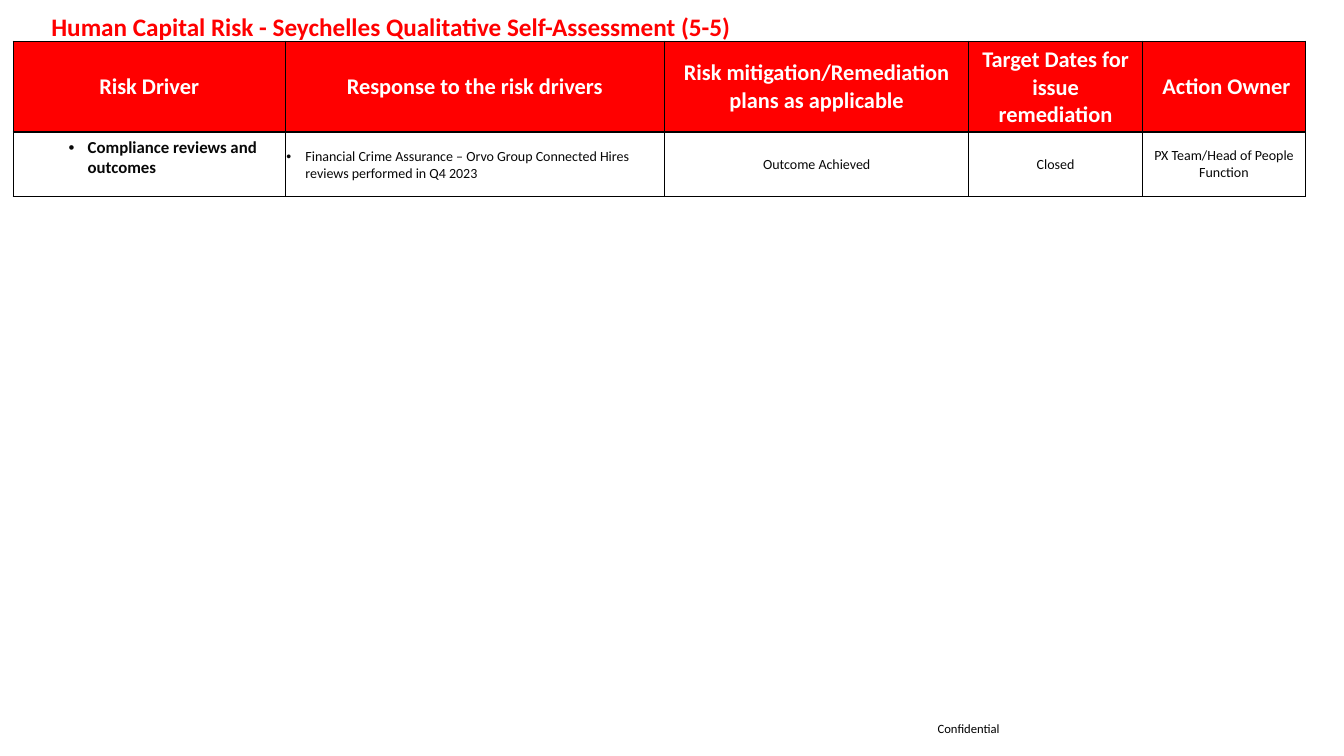
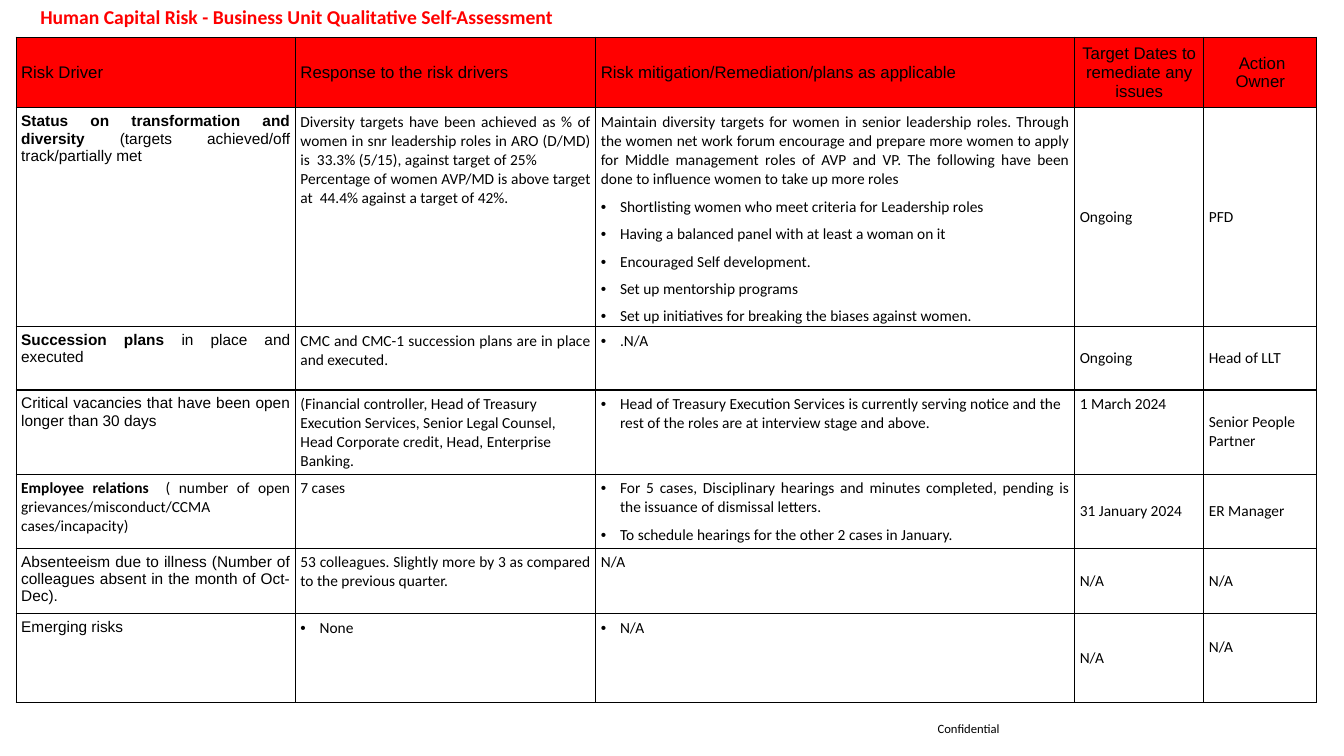
from dataclasses import dataclass

from lxml import etree
from pptx import Presentation
from pptx.dml.color import RGBColor
from pptx.enum.text import MSO_ANCHOR, PP_ALIGN
from pptx.oxml.ns import qn
from pptx.util import Inches, Pt

TOP, MIDDLE = MSO_ANCHOR.TOP, MSO_ANCHOR.MIDDLE
LEFT, CENTER, JUSTIFY = PP_ALIGN.LEFT, PP_ALIGN.CENTER, PP_ALIGN.JUSTIFY
SIDES = ("left", "top", "right", "bottom")


@dataclass(frozen=True)
class Theme:
    red: str = "FF0000"
    white: str = "FFFFFF"
    black: str = "000000"
    ink: str = "080808"
    sans: str = "Calibri"
    plain: str = "Arial"
    huge: int = 18
    large: int = 16
    mid: int = 14
    head: int = 12
    body: int = 11
    small: int = 10
    foot: int = 9
    pad: float = 0.05
    hang: float = 0.19
    rule: int = 1


THEME = Theme()
BASE = {
    "name": THEME.sans, "size": Pt(THEME.body), "bold": False,
    "color": THEME.ink, "alignment": LEFT, "vertical_anchor": MIDDLE,
    "indent": THEME.hang,
}
FONT = ("name", "size", "bold")
PARA = ("alignment", "space_before", "space_after")
CELL = ("vertical_anchor",) + tuple(f"margin_{side}" for side in SIDES)
GAP = {"space_before": Pt(3), "space_after": Pt(3)}


def apply(target, names, look):
    for name in names:
        if name in look:
            setattr(target, name, look[name])


def margins(*sizes):
    return {f"margin_{side}": Inches(size) for side, size in zip(SIDES, sizes)}


class Deck:
    def __init__(self, theme):
        self.theme = theme
        self.file = Presentation()
        self.file.slide_width = Inches(13.33)
        self.file.slide_height = Inches(7.5)
        self.slide = None

    def page(self, title, left, top, height, size):
        self.slide = self.file.slides.add_slide(self.file.slide_layouts[6])
        self.text(title, (left, top, 12.44, height),
                  size=Pt(size), bold=True, color=self.theme.red)
        self.text("Confidential", (9.3, 7.15, 3.9, 0.15),
                  size=Pt(self.theme.foot), color=self.theme.black,
                  vertical_anchor=TOP)

    def text(self, words, area, **look):
        look = {**BASE, **margins(0, 0, 0, 0), **look}
        frame = self.slide.shapes.add_textbox(*map(Inches, area)).text_frame
        frame.word_wrap = True
        apply(frame, CELL, look)
        self.fill(frame, words, look)

    def fill(self, frame, words, look):
        for index, line in enumerate(words if isinstance(words, list) else [words]):
            para = frame.add_paragraph() if index else frame.paragraphs[0]
            apply(para, PARA, look)
            lead, rest = line if isinstance(line, tuple) else ("", line)
            if rest.startswith("• "):
                rest = rest[2:]
                self.bullet(para, look["indent"])
            for part, bold in ((lead, True), (rest, look["bold"])):
                if part:
                    run = para.add_run()
                    run.text = part
                    apply(run.font, FONT, {**look, "bold": bold})
                    run.font.color.rgb = RGBColor.from_string(look["color"])

    def bullet(self, para, indent):
        props = para._p.get_or_add_pPr()
        props.set("marL", str(Inches(indent)))
        props.set("indent", str(-Inches(self.theme.hang)))
        etree.SubElement(props, qn("a:buFont"), typeface=self.theme.plain)
        etree.SubElement(props, qn("a:buChar"), char="•")

    def border(self, cell):
        props = cell._tc.get_or_add_tcPr()
        for index, tag in enumerate(("a:lnL", "a:lnR", "a:lnT", "a:lnB")):
            line = etree.Element(qn(tag), w=str(Pt(self.theme.rule)))
            paint = etree.SubElement(line, qn("a:solidFill"))
            etree.SubElement(paint, qn("a:srgbClr"), val=self.theme.black)
            props.insert(index, line)

    def table(self, left, top, widths, heights, rows, heads, looks, extra):
        table = self.slide.shapes.add_table(
            len(rows), len(widths), Inches(left), Inches(top),
            Inches(sum(widths)), Inches(sum(heights))).table
        table.first_row = table.horz_banding = False
        for column, width in zip(table.columns, widths):
            column.width = Inches(width)
        for row, height in zip(table.rows, heights):
            row.height = Inches(height)
        for r, row in enumerate(rows):
            for c, words in enumerate(row):
                cell = table.cell(r, c)
                look = {**BASE, **margins(*[self.theme.pad] * 4),
                        **(looks[c] if r else heads[c]), **extra.get((r, c), {})}
                if r:
                    cell.fill.background()
                else:
                    cell.fill.solid()
                    cell.fill.fore_color.rgb = RGBColor.from_string(self.theme.red)
                apply(cell, CELL, look)
                self.fill(cell.text_frame, words, look)
                self.border(cell)


def local(deck):
    theme = deck.theme
    deck.page("Human Capital Risk - Seychelles Qualitative Self-Assessment (5-5)",
              0.51, 0.11, 0.3, theme.huge)
    rows = [
        ["Risk Driver", "Response to the risk drivers",
         "Risk mitigation/Remediation plans as applicable",
         "Target Dates for issue remediation", " Action Owner"],
        ["• Compliance reviews and outcomes",
         "• Financial Crime Assurance – Orvo Group Connected Hires reviews performed in Q4 2023",
         "Outcome Achieved", "Closed", "PX Team/Head of People Function"],
    ]
    head = {"size": Pt(theme.large), "bold": True, "color": theme.white,
            "alignment": CENTER}
    small = {"size": Pt(theme.small)}
    mid = {**small, "alignment": CENTER}
    looks = [
        {"size": Pt(theme.head), "bold": True, "vertical_anchor": TOP, "indent": 0.69},
        {**small, **margins(0.01, 0.01, 0.01, 0)},
        mid, {**mid, **GAP}, {**mid, **GAP},
    ]
    deck.table(0.13, 0.41, [2.7, 3.76, 3.02, 1.72, 1.62], [0.9, 0.64], rows,
               [head] * 3 + [{**head, **GAP}] * 2, looks, {})


def unit(deck):
    theme = deck.theme
    deck.page("Human Capital Risk - Business Unit Qualitative Self-Assessment",
              0.4, 0.05, 0.24, theme.mid)
    rows = [
        ["Risk Driver", "Response to the risk drivers",
         "Risk mitigation/Remediation/plans as applicable",
         "Target Dates to remediate any issues", " Action Owner"],
        [("Status on transformation and diversity ",
          "(targets achieved/off track/partially met"),
         ["Diversity targets have been achieved as % of women in snr leadership roles "
          "in ARO (D/MD) is  33.3% (5/15), against target of 25%",
          "Percentage of women AVP/MD is above target at  44.4% against a target of 42%."],
         ["Maintain diversity targets for women in senior leadership roles. Through the "
          "women net work forum encourage and prepare more women to apply for Middle "
          "management roles of AVP and VP. The following have been done to influence "
          "women to take up more roles",
          "• Shortlisting women who meet criteria for Leadership roles",
          "• Having a balanced panel with at least a woman on it",
          "• Encouraged Self development.",
          "• Set up mentorship programs",
          "• Set up initiatives for breaking the biases against women."],
         "Ongoing", "PFD"],
        [("Succession plans ", "in place and executed"),
         "CMC and CMC-1 succession plans are in place and executed.",
         "• .N/A", "Ongoing", "Head of LLT"],
        ["Critical vacancies that have been open longer than 30 days",
         "(Financial controller, Head of Treasury Execution Services, Senior Legal "
         "Counsel, Head Corporate credit, Head, Enterprise Banking.",
         "• Head of Treasury Execution Services is currently serving notice and the "
         "rest of the roles are at interview stage and above.",
         "1 March 2024", "Senior People Partner"],
        [("Employee relations ",
          " ( number of open grievances/misconduct/CCMA cases/incapacity)"),
         "7 cases",
         ["• For 5 cases, Disciplinary hearings and minutes completed, pending is the "
          "issuance of dismissal letters.",
          "• To schedule hearings for the other 2 cases in January."],
         "31 January 2024", "ER Manager"],
        ["Absenteeism due to illness (Number of colleagues absent in the month of Oct-Dec).",
         "53 colleagues. Slightly more by 3 as compared to the previous quarter.",
         "N/A", "N/A", "N/A"],
        ["Emerging risks", "• None", "• N/A", "N/A", "N/A"],
    ]
    head = {"name": theme.plain, "size": Pt(theme.head), "color": theme.black}
    date = {**head, **GAP, "alignment": CENTER}
    ink = {"color": theme.black}
    full = {**ink, "alignment": JUSTIFY, "vertical_anchor": TOP}
    looks = [{**full, "name": theme.plain}, full, {**full, **GAP},
             {**ink, **GAP}, {**ink, **GAP}]
    extra = {
        (3, 1): {"alignment": LEFT},
        (3, 2): {"alignment": LEFT},
        (3, 3): {"vertical_anchor": TOP},
        (4, 0): {"name": theme.sans},
        (6, 4): {"margin_bottom": Inches(0.27)},
    }
    deck.table(0.16, 0.37, [2.77, 2.98, 4.75, 1.28, 1.12],
               [0.7, 2.16, 0.63, 0.83, 0.73, 0.65, 0.88], rows,
               [head, head, {**head, **GAP}, date, date], looks, extra)


def main():
    deck = Deck(THEME)
    local(deck)
    unit(deck)
    deck.file.save("out.pptx")


if __name__ == "__main__":
    main()
